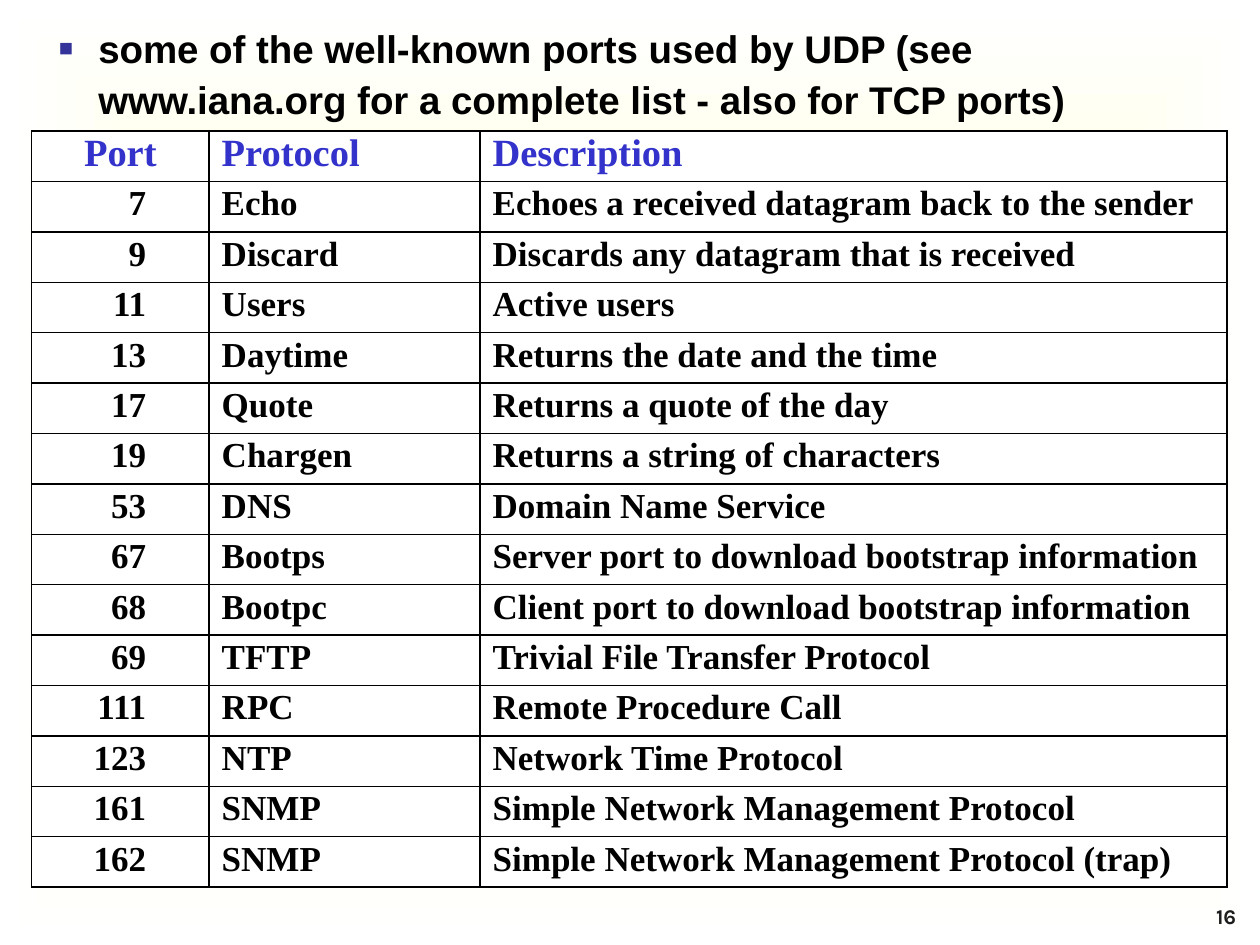
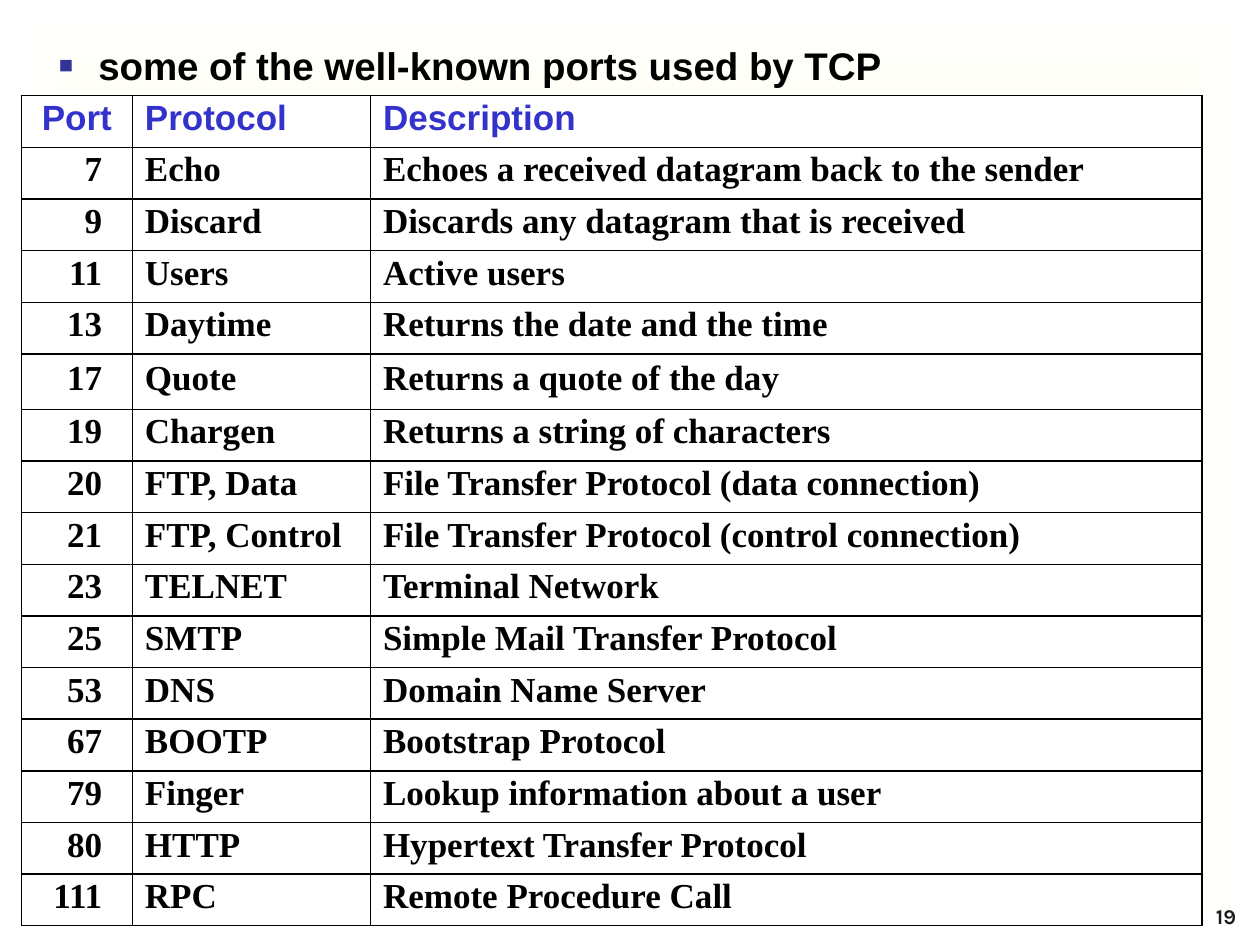
from lxml import etree
from pptx import Presentation
from pptx import util as u
from pptx.dml.color import RGBColor
from pptx.enum import text as t
from pptx.oxml import ns

BLACK = RGBColor(0x00, 0x00, 0x00)
WHITE = RGBColor(0xFF, 0xFF, 0xFF)
CREAM = RGBColor(0xFF, 0xFF, 0xCC)
BLUE = RGBColor(0x33, 0x33, 0xCC)
NAVY = RGBColor(0x33, 0x33, 0x99)
GREY = RGBColor(0x1C, 0x1C, 0x1C)

HEADS = ("Port", "Protocol", "Description")
BASIC = [
    ("7", "Echo", "Echoes a received datagram back to the sender"),
    ("9", "Discard", "Discards any datagram that is received"),
    ("11", "Users", "Active users"),
    ("13", "Daytime", "Returns the date and the time"),
    ("17", "Quote", "Returns a quote of the day"),
    ("19", "Chargen", "Returns a string of characters"),
]
UDP = BASIC + [
    ("53", "DNS", "Domain Name Service"),
    ("67", "Bootps", "Server port to download bootstrap information"),
    ("68", "Bootpc", "Client port to download bootstrap information"),
    ("69", "TFTP", "Trivial File Transfer Protocol"),
    ("111", "RPC", "Remote Procedure Call"),
    ("123", "NTP", "Network Time Protocol"),
    ("161", "SNMP", "Simple Network Management Protocol"),
    ("162", "SNMP", "Simple Network Management Protocol (trap)"),
]
TCP = BASIC + [
    ("20", "FTP, Data", "File Transfer Protocol (data connection)"),
    ("21", "FTP, Control", "File Transfer Protocol (control connection)"),
    ("23", "TELNET", "Terminal Network"),
    ("25", "SMTP", "Simple Mail Transfer Protocol"),
    ("53", "DNS", "Domain Name Server"),
    ("67", "BOOTP", "Bootstrap Protocol"),
    ("79", "Finger", "Lookup information about a user"),
    ("80", "HTTP", "Hypertext Transfer Protocol"),
    ("111", "RPC", "Remote Procedure Call"),
]
PAGES = [
    dict(
        num="16",
        lead="some of the well-known ports used by UDP "
             "(see www.iana.org for a complete list - also for TCP ports)",
        box=(0.08, 0.08, 9.75, 1), lead_gap=1.1,
        spot=(0.25, 1.04), cols=(1.41, 2.15, 5.93), row=0.4, tall={},
        rows=UDP, pad=0.5, gap=0.8, head=dict(name="Times New Roman", size=22),
    ),
    dict(
        num="19",
        lead="some of the well-known ports used by TCP",
        box=(0.08, 0.25, 9.75, 0.42), lead_gap=1.0,
        spot=(0.17, 0.76), cols=(0.88, 1.89, 6.6), row=0.41, tall={5: 0.44},
        rows=TCP, pad=0.24, gap=0.75, head=dict(name="Arial", size=20),
    ),
]


def style(item, **vals):
    for key, val in vals.items():
        setattr(item, key, val)


def write(para, words, name, size, color):
    run = para.add_run()
    run.text = words
    style(run.font, name=name, size=u.Pt(size), bold=True, italic=False)
    run.font.color.rgb = color


def node(top, tag, **vals):
    return etree.SubElement(top, ns.qn(tag), vals)


def paint(master):
    fill = master.background.fill
    fill.gradient()
    for stop, color in zip(fill.gradient_stops, (CREAM, WHITE)):
        stop.color.rgb = color
    grad = master.element.find(".//" + ns.qn("a:gradFill"))
    grad.remove(grad.find(ns.qn("a:lin")))
    way = node(grad, "a:path", path="shape")
    node(way, "a:fillToRect", **dict.fromkeys("ltrb", "50000"))


def add_lead(slide, box, words, gap):
    body = slide.placeholders[1]
    style(body, **dict(zip(("left", "top", "width", "height"), map(u.Inches, box))))
    frame = body.text_frame
    style(frame, word_wrap=True, auto_size=t.MSO_AUTO_SIZE.NONE,
          vertical_anchor=t.MSO_ANCHOR.TOP, margin_top=u.Inches(0.08))
    para = frame.paragraphs[0]
    style(para, level=2, line_spacing=gap, space_before=u.Pt(0),
          alignment=t.PP_ALIGN.LEFT)
    props = para._p.get_or_add_pPr()
    props.set("marL", str(u.Inches(0.6)))
    props.set("indent", str(u.Inches(-0.32)))
    node(node(props, "a:buClr"), "a:srgbClr", val=str(NAVY))
    node(props, "a:buSzPct", val="120000")
    node(props, "a:buFont", typeface="Arial")
    node(props, "a:buChar", char="▪")
    write(para, words, "Arial", 22, BLACK)


def add_edge(cell):
    props = cell._tc.get_or_add_tcPr()
    for side in ("a:lnL", "a:lnR", "a:lnT", "a:lnB"):
        line = node(props, side, w=str(u.Pt(1)))
        node(node(line, "a:solidFill"), "a:srgbClr", val=str(BLACK))


def fill_cell(cell, words, align, gap, font):
    add_edge(cell)
    cell.fill.solid()
    cell.fill.fore_color.rgb = WHITE
    cell.vertical_anchor = t.MSO_ANCHOR.MIDDLE
    para = cell.text_frame.paragraphs[0]
    style(para, alignment=align, line_spacing=gap, space_before=u.Pt(0))
    write(para, words, **font)


def add_ports(slide, page):
    rows = [HEADS] + page["rows"]
    highs = [page["tall"].get(i, page["row"]) for i in range(len(rows))]
    size = (sum(page["cols"]), sum(highs))
    table = slide.shapes.add_table(
        len(rows), len(HEADS), *map(u.Inches, page["spot"] + size)).table
    style(table, first_row=False, horz_banding=False)
    for col, width in zip(table.columns, page["cols"]):
        col.width = u.Inches(width)
    head = dict(page["head"], color=BLUE)
    plain = dict(name="Times New Roman", size=20, color=BLACK)
    for i, (row, high) in enumerate(zip(rows, highs)):
        table.rows[i].height = u.Inches(high)
        for j, words in enumerate(row):
            cell = table.cell(i, j)
            align = t.PP_ALIGN.LEFT
            if j == 0:
                align = t.PP_ALIGN.RIGHT if i else t.PP_ALIGN.CENTER
                if i:
                    cell.margin_right = u.Inches(page["pad"])
            fill_cell(cell, words, align, page["gap"], plain if i else head)


def add_num(slide, box, words):
    frame = slide.shapes.add_textbox(*map(u.Inches, box)).text_frame
    style(frame, word_wrap=True, vertical_anchor=t.MSO_ANCHOR.BOTTOM)
    para = frame.paragraphs[0]
    para.alignment = t.PP_ALIGN.RIGHT
    write(para, words, "Karla", 12, GREY)


def add_page(deck, page):
    slide = deck.slides.add_slide(deck.slide_layouts[1])
    title = slide.shapes.title.element
    title.getparent().remove(title)
    add_num(slide, (9.33, 7.25, 0.58, 0.17), page["num"])
    add_ports(slide, page)
    add_lead(slide, page["box"], page["lead"], page["lead_gap"])


def main():
    deck = Presentation()
    style(deck, slide_width=u.Inches(10), slide_height=u.Inches(7.5))
    paint(deck.slide_master)
    for page in PAGES:
        add_page(deck, page)
    deck.save("out.pptx")


if __name__ == "__main__":
    main()
